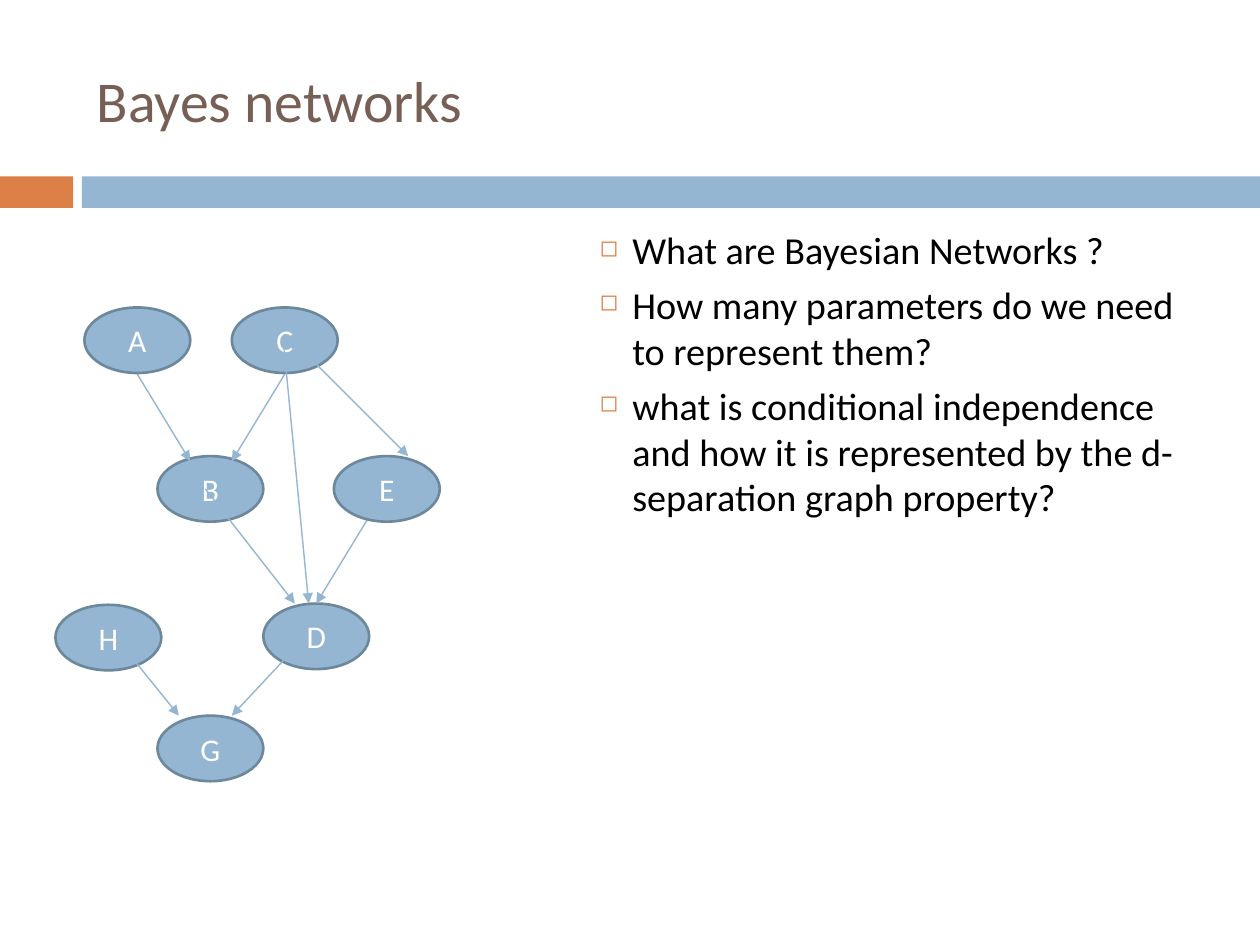
from lxml.etree import SubElement
from pptx import Presentation
from pptx.dml.color import RGBColor
from pptx.enum.shapes import MSO_CONNECTOR, MSO_SHAPE
from pptx.enum.text import MSO_ANCHOR, PP_ALIGN
from pptx.oxml.ns import qn
from pptx.util import Inches, Pt

BLUE = RGBColor(0x94, 0xB6, 0xD2)
EDGE = RGBColor(0x6D, 0x87, 0x9B)
ORANGE = RGBColor(0xDD, 0x80, 0x47)
BROWN = RGBColor(0x77, 0x5F, 0x55)
BLACK = RGBColor(0, 0, 0)
WHITE = RGBColor(255, 255, 255)


class Deck:
    font = "Calibri"
    node_w, node_h = 0.84, 0.52

    def __init__(self, slide):
        self.slide = slide

    def style(self, para, size, color):
        para.font.name = self.font
        para.font.size = Pt(size)
        para.font.color.rgb = color

    def shape(self, kind, box, fill):
        item = self.slide.shapes.add_shape(kind, *map(Inches, box))
        item.shadow.inherit = False
        item.fill.solid()
        item.fill.fore_color.rgb = fill
        item.line.fill.background()
        return item

    def bar(self, left, width, fill):
        self.shape(MSO_SHAPE.RECTANGLE, (left, 1.4, width, 0.25), fill)

    def text(self, box, lines, size, color, anchor=MSO_ANCHOR.TOP):
        frame = self.slide.shapes.add_textbox(*map(Inches, box)).text_frame
        frame.word_wrap = True
        frame.vertical_anchor = anchor
        frame.text = "\n".join(lines)
        for para in frame.paragraphs:
            self.style(para, size, color)
        return frame

    def list(self, box, lines):
        for para in self.text(box, lines, 21.8, BLACK).paragraphs:
            para.space_before = Pt(5.2)
            props = para._p.get_or_add_pPr()
            props.set("marL", str(Inches(0.26)))
            props.set("indent", str(Inches(-0.26)))
            tint = SubElement(props, qn("a:buClr"))
            SubElement(tint, qn("a:srgbClr"), val=str(ORANGE))
            SubElement(props, qn("a:buSzPct"), val="60000")
            SubElement(props, qn("a:buChar"), char="◻")

    def node(self, name, left, top):
        box = (left, top, self.node_w, self.node_h)
        item = self.shape(MSO_SHAPE.OVAL, box, BLUE)
        item.line.color.rgb = EDGE
        item.line.width = Pt(1.5)
        frame = item.text_frame
        frame.vertical_anchor = MSO_ANCHOR.MIDDLE
        frame.text = name
        para = frame.paragraphs[0]
        para.alignment = PP_ALIGN.CENTER
        self.style(para, 18, WHITE)

    def arrow(self, *ends):
        link = self.slide.shapes.add_connector(
            MSO_CONNECTOR.STRAIGHT, *map(Inches, ends))
        link.line.color.rgb = BLUE
        link.line.width = Pt(0.79)
        SubElement(link.line._get_or_add_ln(), qn("a:tailEnd"), type="triangle")
        SubElement(link._element.spPr, qn("a:effectLst"))


def main():
    show = Presentation()
    show.slide_width, show.slide_height = Inches(10), Inches(7.5)
    deck = Deck(show.slides.add_slide(show.slide_layouts[6]))

    # Header
    deck.bar(0, 0.58, ORANGE)
    deck.bar(0.65, 9.35, BLUE)
    deck.text((0.67, 0.25, 8.92, 1.08), ["Bayes networks"], 33, BROWN,
              MSO_ANCHOR.MIDDLE)

    # Questions
    deck.list((4.66, 1.75, 4.92, 4.92), [
        "What are Bayesian Networks ?",
        "How many parameters do we need to represent them?",
        "what is conditional independence and how it is represented by the "
        "d-separation graph property?",
    ])

    # Upper graph: nodes, then arrows
    for node in (("A", 0.67, 2.44), ("C", 1.84, 2.44),
                 ("B", 1.25, 3.62), ("D", 2.09, 4.79)):
        deck.node(*node)
    for ends in ((1.09, 2.97, 1.51, 3.66),   # A to B
                 (2.26, 2.97, 1.84, 3.66),   # C to B
                 (2.34, 2.72, 3.24, 3.62),   # C to E
                 (2.93, 4.1, 2.51, 4.79)):   # E to D
        deck.arrow(*ends)

    # Lower graph: its nodes cover the arrows above
    for node in (("E", 2.65, 3.62), ("H", 0.44, 4.8), ("G", 1.25, 5.68)):
        deck.node(*node)
    for ends in ((1.63, 3.88, 2.34, 4.79),   # B to D
                 (2.42, 5.06, 1.84, 5.68),   # D to G
                 (0.92, 5.06, 1.42, 5.68),   # H to G
                 (2.25, 2.72, 2.45, 4.79)):  # C to D
        deck.arrow(*ends)

    show.save("out.pptx")


if __name__ == "__main__":
    main()
